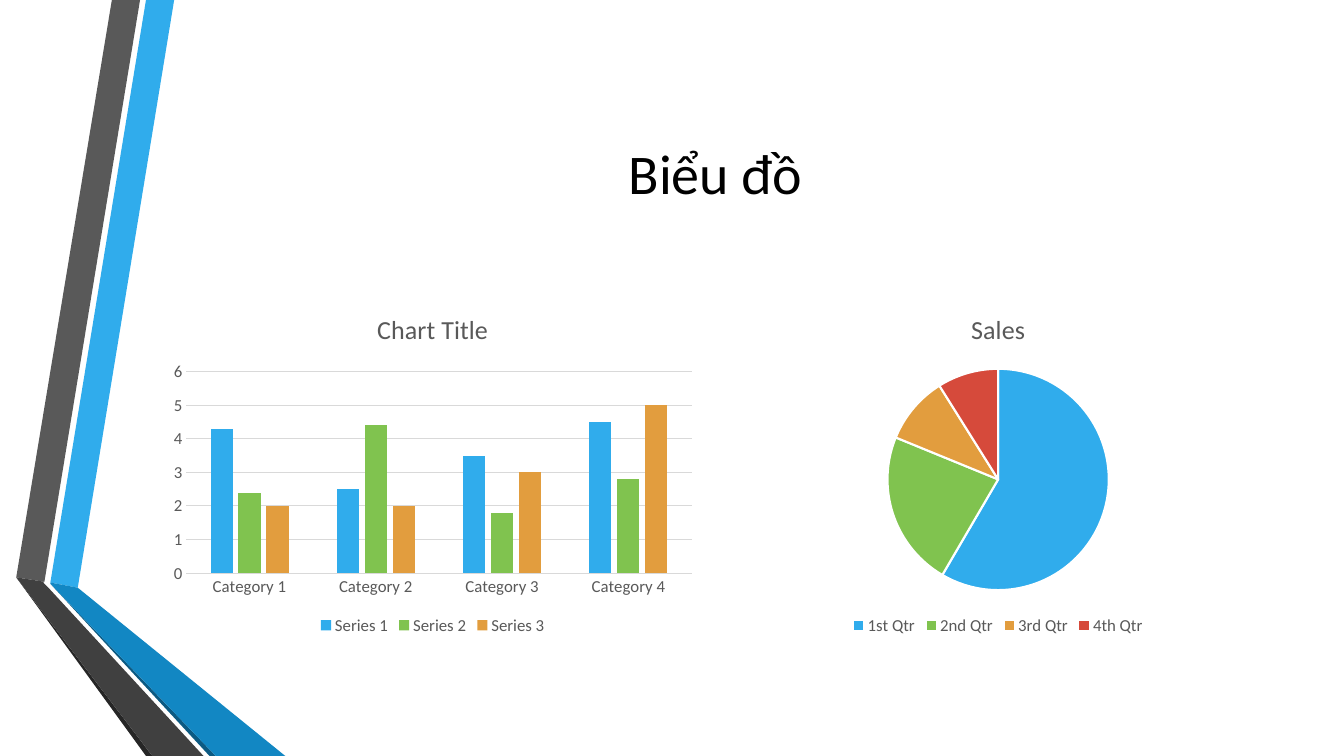
"""Build a slide with a title, a column chart and a pie chart beside a folded ribbon."""
from pptx import Presentation
from pptx.chart.data import CategoryChartData
from pptx.dml.color import RGBColor
from pptx.enum.chart import XL_CHART_TYPE as CT, XL_LEGEND_POSITION as LP, XL_TICK_MARK as TM
from pptx.enum.text import MSO_ANCHOR as MA, PP_ALIGN as PA
from pptx.util import Cm, Pt

BLUE, GREEN, ORANGE, RED = "30ACEC", "80C34F", "E29D3E", "D64A3B"
TEXT, GRID = "595959", "D9D9D9"


def paint(fill, color):
    fill.solid()
    fill.fore_color.rgb = RGBColor.from_string(color)


def style(font, size, color):
    for key, value in {"name": "Calibri", "size": Pt(size), "bold": False}.items():
        setattr(font, key, value)
    paint(font.fill, color)


prs = Presentation()
prs.slide_width, prs.slide_height = Cm(33.87), Cm(19.05)
s = prs.slides.add_slide(prs.slide_layouts[5])

ribbons = [
    (BLUE, [(1.27, 14.68), (1.96, 14.81), (4.39, 0), (3.68, 0)]),
    ("595959", [(3.53, 0), (2.82, 0), (0.41, 14.55), (1.12, 14.66)]),
    ("262626", [(0.41, 14.55), (3.68, 19.05), (3.84, 19.05)]),
    ("0C5A82", [(1.27, 14.71), (5.28, 19.05), (5.44, 19.05)]),
    ("1287C3", [(1.27, 14.68), (1.27, 14.71), (5.44, 19.05), (7.19, 19.05), (1.96, 14.81)]),
    ("404040", [(5.13, 19.05), (1.22, 14.81), (1.09, 14.68), (1.12, 14.66),
                (0.41, 14.55), (3.84, 19.05)]),
]
for color, points in ribbons:
    corners = [(Cm(x), Cm(y)) for x, y in points]
    fb = s.shapes.build_freeform(*corners[0])
    fb.add_line_segments(corners[1:])
    sp = fb.convert_to_shape()
    sp.shadow.inherit = False
    paint(sp.fill, color)
    sp.line.fill.background()

title = s.shapes.title
box = {"left": Cm(4.11), "top": Cm(1.9), "width": Cm(27.84), "height": Cm(4.88)}
for key, value in box.items():
    setattr(title, key, value)
tf = title.text_frame
tf.vertical_anchor = MA.MIDDLE
p = tf.paragraphs[0]
p.alignment = PA.CENTER
r = p.add_run()
r.text = "Biểu đồ"
style(r.font, 40, "000000")

specs = [
    (CT.COLUMN_CLUSTERED, 4.11, "Chart Title",
     ["Category 1", "Category 2", "Category 3", "Category 4"],
     {"Series 1": [4.3, 2.5, 3.5, 4.5],
      "Series 2": [2.4, 4.4, 1.8, 2.8],
      "Series 3": [2, 2, 3, 5]}),
    (CT.PIE, 18.36, "Sales",
     ["1st Qtr", "2nd Qtr", "3rd Qtr", "4th Qtr"],
     {"Sales": [59, 23, 10, 9]}),
]
charts = []
for kind, left, heading, categories, series in specs:
    data = CategoryChartData()
    data.categories = categories
    for name, values in series.items():
        data.add_series(name, values)
    chart = s.shapes.add_chart(kind, Cm(left), Cm(7.42), Cm(13.59), Cm(8.69), data).chart
    style(chart.font, 12, TEXT)
    chart.has_title = True
    p = chart.chart_title.text_frame.paragraphs[0]
    r = p.add_run()
    r.text = heading
    style(r.font, 18.6, TEXT)
    chart.has_legend = True
    chart.legend.position = LP.BOTTOM
    chart.legend.include_in_layout = False
    style(chart.legend.font, 12, TEXT)
    charts.append(chart)

columns, pie = charts
plot = columns.plots[0]
for key, value in {"gap_width": 219, "overlap": -27, "vary_by_categories": False}.items():
    setattr(plot, key, value)
for ser, color in zip(plot.series, [BLUE, GREEN, ORANGE]):
    paint(ser.format.fill, color)

cat_axis, val_axis = columns.category_axis, columns.value_axis
for axis in (cat_axis, val_axis):
    axis.major_tick_mark = axis.minor_tick_mark = TM.NONE
    style(axis.tick_labels.font, 12, TEXT)
for key, value in {"minimum_scale": 0, "maximum_scale": 6, "major_unit": 1}.items():
    setattr(val_axis, key, value)
val_axis.format.line.fill.background()
for line in (cat_axis.format.line, val_axis.major_gridlines.format.line):
    paint(line.fill, GRID)
    line.width = Pt(0.75)

pie.plots[0].vary_by_categories = True
for i, color in enumerate([BLUE, GREEN, ORANGE, RED]):
    fmt = pie.plots[0].series[0].points[i].format
    paint(fmt.fill, color)
    paint(fmt.line.fill, "FFFFFF")
    fmt.line.width = Pt(1.5)

prs.save("out.pptx")
